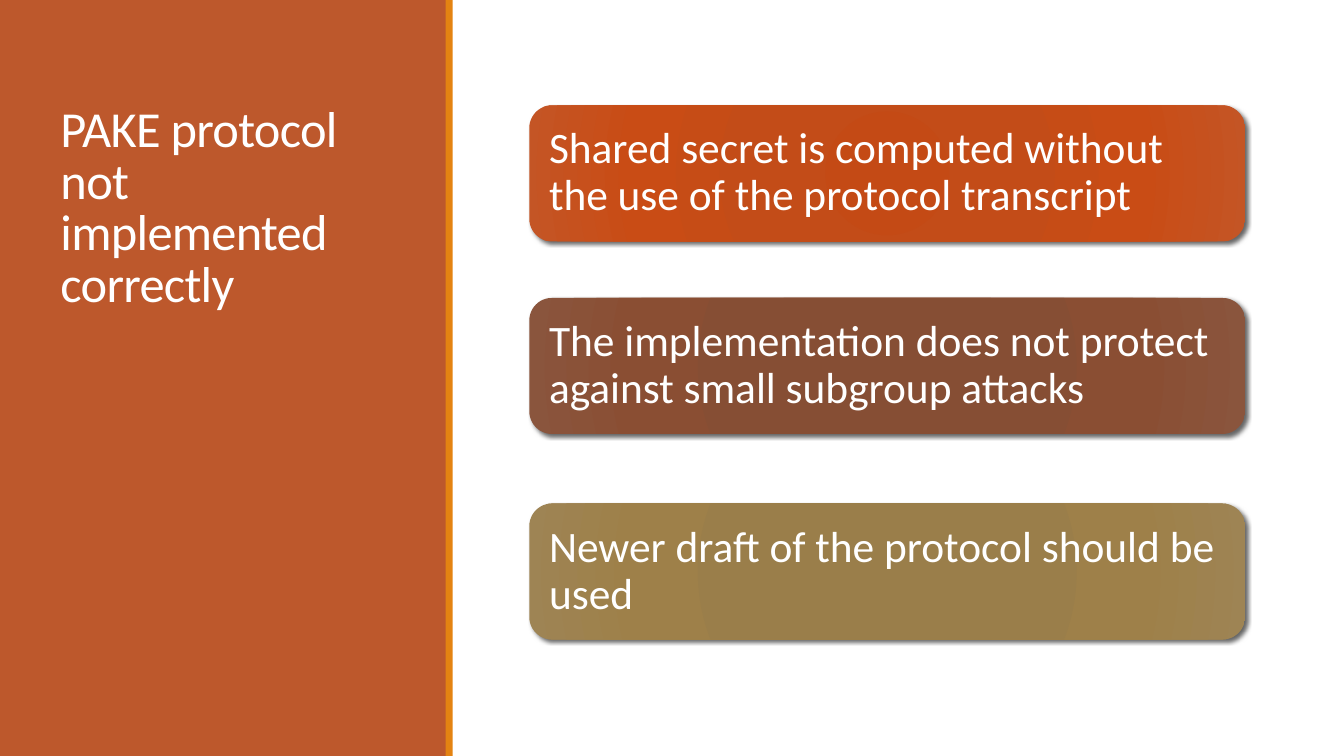
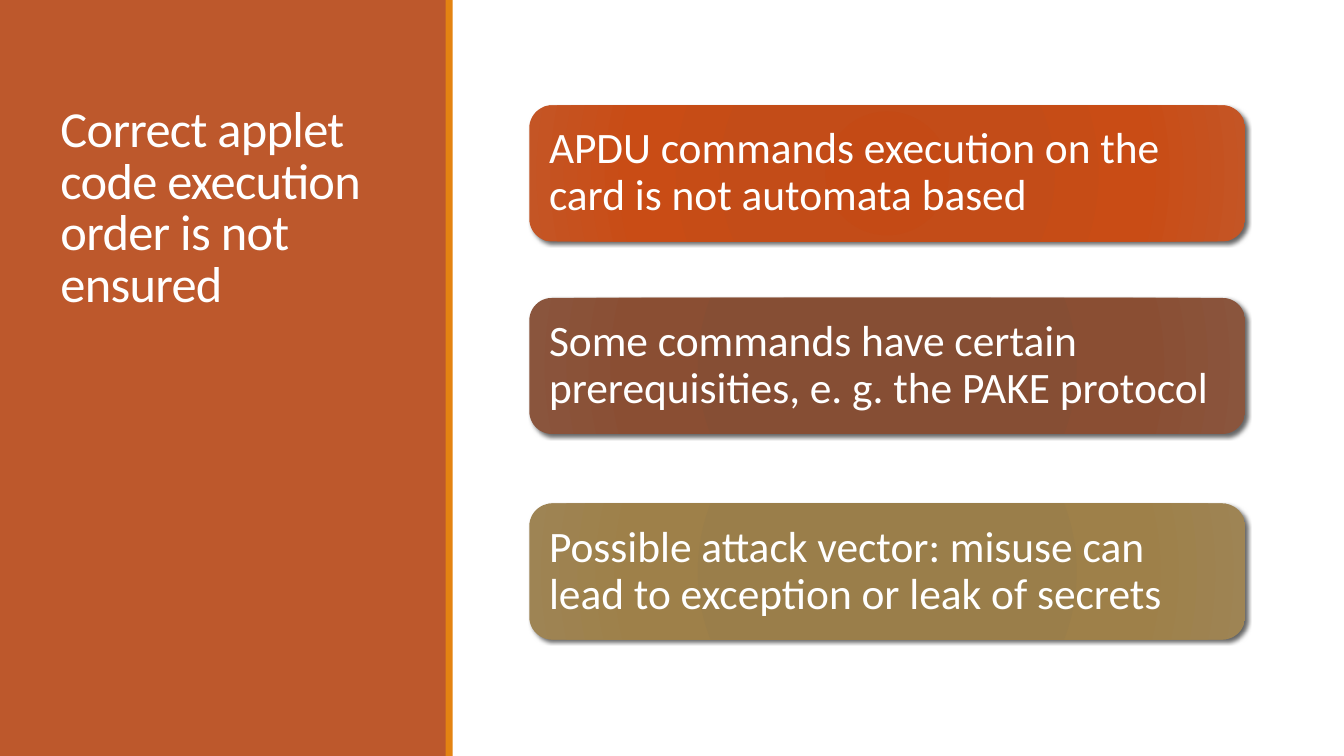
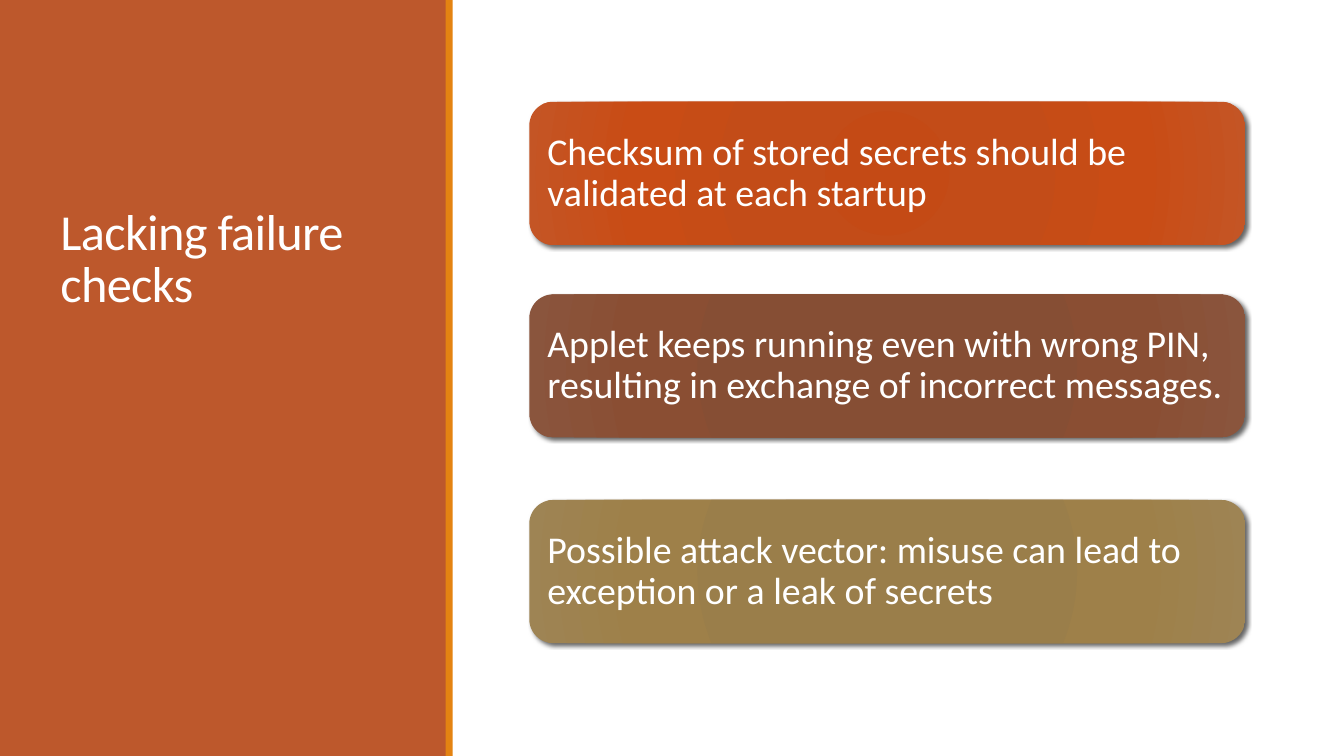
from dataclasses import dataclass

from lxml import etree
from pptx import Presentation
from pptx.dml.color import RGBColor
from pptx.enum.shapes import MSO_SHAPE as Shape
from pptx.enum.text import MSO_ANCHOR as Anchor, MSO_AUTO_SIZE as AutoSize, PP_ALIGN as Align
from pptx.oxml import parse_xml
from pptx.oxml.ns import nsdecls, qn
from pptx.util import Inches, Pt

# Content: title, cards, and the card measures (height, inset, type size)
LARGE_TEXT = (1.35, 0.13, 31)
SMALL_TEXT = (1.42, 0.11, 27)
SLIDES = [
    ("PAKE protocol not implemented correctly", LARGE_TEXT, [
        "Shared secret is computed without the use of the protocol transcript",
        "The implementation does not protect against small subgroup attacks",
        "Newer draft of the protocol should be used",
    ]),
    ("Correct applet code execution order is not ensured", LARGE_TEXT, [
        "APDU commands execution on the card is not automata based",
        "Some commands have certain prerequisities, e. g. the PAKE protocol",
        "Possible attack vector: misuse can lead to exception or leak of secrets",
    ]),
    ("Lacking failure checks", SMALL_TEXT, [
        "Checksum of stored secrets should be validated at each startup",
        "Applet keeps running even with wrong PIN, resulting in exchange of incorrect messages.",
        "Possible attack vector: misuse can lead to exception or a leak of secrets",
    ]),
]


@dataclass(frozen=True)
class Theme:
    font: str = "Calibri"
    title_size: int = 36
    text: str = "FFFFFF"
    panel: str = "BD582C"
    stripe: str = "E48312"
    shadow: str = "000000"
    gradient_stops: tuple = (0, 34, 70, 100)
    card_gradients: tuple = (
        ("C44A15", "C34C18", "C94C15", "C45525"),
        ("874C32", "864E34", "8A4E33", "8A553D"),
        ("9A7D48", "9A7E4A", "9E8049", "9E8454"),
    )


THEME = Theme()

# Layout, in inches
SLIDE_WIDTH, SLIDE_HEIGHT = 13.33, 7.5
BANDS = [(0, 4.43, THEME.panel), (4.42, 0.07, THEME.stripe)]
TITLE_BOX = (0.5, 0.65, 3.5, 2.5)
CARD_LEFT, CARD_WIDTH = 5.25, 7.1
CARD_CENTRES = (1.72, 3.63, 5.67)


def write_text(frame, text, size, anchor, line_spacing):
    frame.word_wrap = True
    frame.auto_size = AutoSize.NONE
    frame.vertical_anchor = anchor
    paragraph = frame.paragraphs[0]
    paragraph.alignment = Align.LEFT
    paragraph.line_spacing = line_spacing
    run = paragraph.add_run()
    run.text = text
    run.font.name = THEME.font
    run.font.size = Pt(size)
    run.font.color.rgb = RGBColor.from_string(THEME.text)
    return run


def add_band(slide, layout, index, left, width, color):
    """Draw a full-height band and move it behind the layout's placeholders."""
    band = slide.shapes.add_shape(
        Shape.RECTANGLE, Inches(left), 0, Inches(width), Inches(SLIDE_HEIGHT))
    band.fill.solid()
    band.fill.fore_color.rgb = RGBColor.from_string(color)
    band.line.fill.background()
    band.shadow.inherit = False
    layout.shapes.element.insert(2 + index, band.element)


def style_card(card, colors):
    """Give a card its radial gradient and soft shadow."""
    card.line.fill.background()
    card.shadow.inherit = False
    stops = "".join(
        f'<a:gs pos="{position * 1000}"><a:srgbClr val="{color}"/></a:gs>'
        for position, color in zip(THEME.gradient_stops, colors))
    gradient = parse_xml(
        f'<a:gradFill {nsdecls("a")} rotWithShape="1"><a:gsLst>{stops}</a:gsLst>'
        '<a:path path="circle"><a:fillToRect l="100000" t="100000" r="100000" b="100000"/>'
        '</a:path></a:gradFill>')
    properties = card.element.spPr
    properties.find(qn("a:ln")).addprevious(gradient)
    shadow = etree.SubElement(
        properties.find(qn("a:effectLst")), qn("a:outerShdw"),
        blurRad=str(Pt(3)), dist=str(Pt(2)), dir=str(45 * 60000),
        algn="ctr", rotWithShape="0")
    color = etree.SubElement(shadow, qn("a:srgbClr"), val=THEME.shadow)
    etree.SubElement(color, qn("a:alpha"), val="60000")


def add_card(slide, text, centre, colors, height, inset, size):
    card = slide.shapes.add_shape(
        Shape.ROUNDED_RECTANGLE, Inches(CARD_LEFT), Inches(centre - height / 2),
        Inches(CARD_WIDTH), Inches(height))
    style_card(card, colors)
    frame = card.text_frame
    frame.margin_left = frame.margin_right = Inches(inset)
    frame.margin_top = frame.margin_bottom = Inches(inset)
    write_text(frame, text, size, Anchor.MIDDLE, 0.9)


def main():
    presentation = Presentation()
    presentation.slide_width = Inches(SLIDE_WIDTH)
    presentation.slide_height = Inches(SLIDE_HEIGHT)

    # Shared layout: title position
    layout = presentation.slide_layouts.get_by_name("Title Only")
    title = layout.placeholders[0]
    title.left, title.top, title.width, title.height = map(Inches, TITLE_BOX)

    # Slides
    for title_text, measures, cards in SLIDES:
        slide = presentation.slides.add_slide(layout)
        run = write_text(slide.shapes.title.text_frame, title_text,
                         THEME.title_size, Anchor.BOTTOM, 0.85)
        run.font._element.set("spc", "-50")
        for text, centre, colors in zip(cards, CARD_CENTRES, THEME.card_gradients):
            add_card(slide, text, centre, colors, *measures)

    # Shared layout: side bands
    for index, band in enumerate(BANDS):
        add_band(presentation.slides[0], layout, index, *band)

    presentation.save("out.pptx")


if __name__ == "__main__":
    main()
